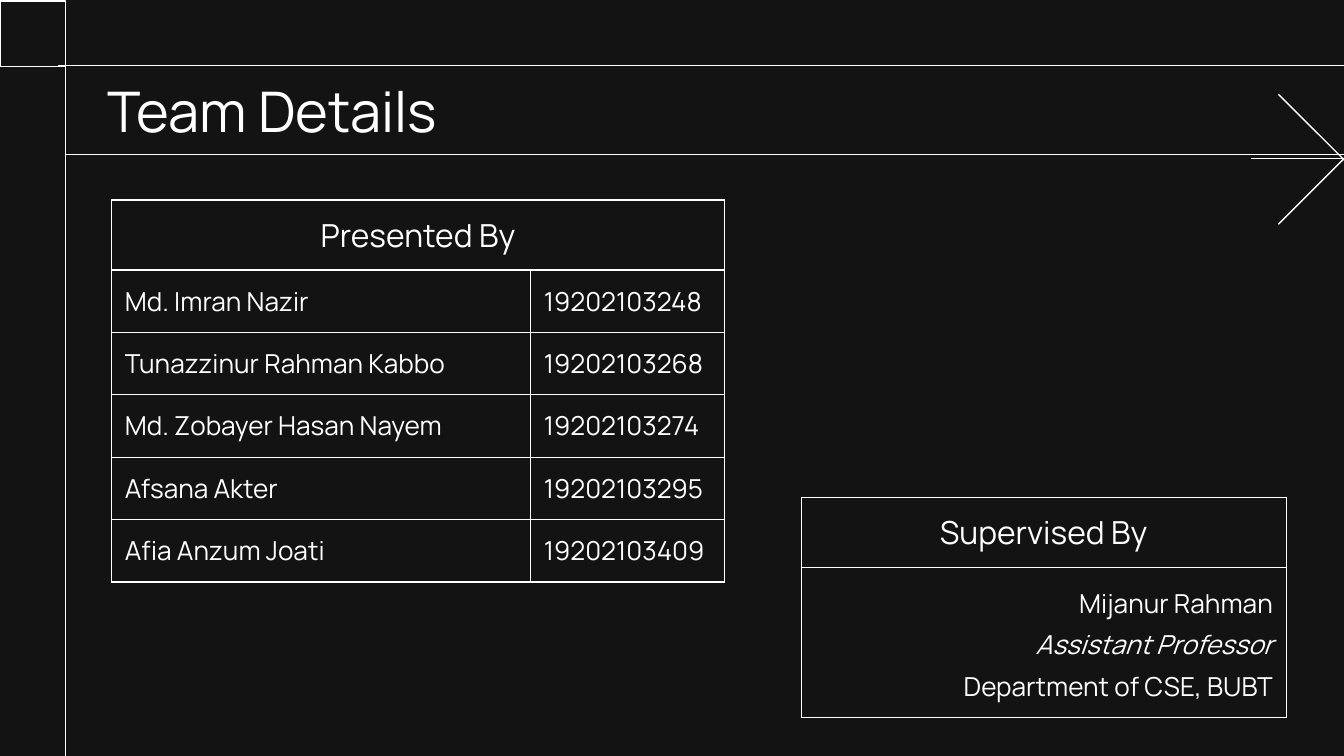
from lxml.etree import SubElement
from pptx import Presentation
from pptx.dml.color import RGBColor
from pptx.enum.shapes import MSO_CONNECTOR as Connector, MSO_SHAPE as Shape
from pptx.enum.text import PP_ALIGN as Align
from pptx.oxml.ns import qn
from pptx.util import Cm, Pt

WHITE = RGBColor(0xFF, 0xFF, 0xFF)
BLACK = RGBColor(0x13, 0x13, 0x13)
FONT = "Manrope"
LINE = Pt(0.75)
INSET = Cm(0.25)

TITLE = "Team Details"
MEMBERS = [
    ("Md. Imran Nazir", "19202103248"),
    ("Tunazzinur Rahman Kabbo", "19202103268"),
    ("Md. Zobayer Hasan Nayem", "19202103274"),
    ("Afsana Akter", "19202103295"),
    ("Afia Anzum Joati", "19202103409"),
]
SUPERVISOR = [
    ("Mijanur Rahman", False),
    ("Assistant Professor", True),
    ("Department of CSE, BUBT", False),
]
FRAME_LINES = [
    (1.09, 1.24, 25.6, 1.24),
    (1.24, 0.84, 1.24, 14.55),
    (1.24, 2.92, 25.73, 2.92),
]
ARROW_LINES = [
    (26.62, 1.78, 24.16, 4.24),
    (26.62, 4.24, 24.16, 1.78),
    (23.65, 3.0, 27.13, 3.0),
]
HEADER_HEIGHT = 1.32
MEMBER_HEIGHT = 1.18
SUPERVISOR_HEIGHT = 2.83


def add_line(page, ends):
    line = page.shapes.add_connector(Connector.STRAIGHT, *map(Cm, ends))
    line.line.color.rgb = WHITE
    line.line.width = LINE
    SubElement(line._element.spPr, qn("a:effectLst"))


def set_insets(frame):
    frame.margin_left = frame.margin_right = INSET
    frame.margin_top = frame.margin_bottom = INSET


def write(para, text, size, align=Align.LEFT, italic=False):
    para.alignment = align
    span = para.add_run()
    span.text = text
    span.font.name = FONT
    span.font.size = Pt(size)
    span.font.color.rgb = WHITE
    span.font.italic = italic


def set_borders(cell):
    properties = cell._tc.get_or_add_tcPr()
    for position, side in enumerate(("lnL", "lnR", "lnT", "lnB")):
        border = SubElement(properties, qn(f"a:{side}"), w=str(LINE))
        fill = SubElement(border, qn("a:solidFill"))
        SubElement(fill, qn("a:srgbClr"), val=str(WHITE))
        properties.insert(position, border)


def add_grid(page, left, top, widths, heights, heading):
    frame = page.shapes.add_table(
        len(heights), len(widths), Cm(left), Cm(top), Cm(sum(widths)), Cm(sum(heights))
    )
    grid = frame.table
    grid.first_row = grid.horz_banding = False
    for column, width in zip(grid.columns, widths):
        column.width = Cm(width)
    for row, height in zip(grid.rows, heights):
        row.height = Cm(height)
    for cell in grid.iter_cells():
        cell.fill.background()
        set_insets(cell)
        set_borders(cell)
    header = grid.cell(0, 0)
    if len(widths) > 1:
        header.merge(grid.cell(0, len(widths) - 1))
    header.fill.solid()
    header.fill.fore_color.rgb = BLACK
    write(header.text_frame.paragraphs[0], heading, 17, Align.CENTER)
    return grid


deck = Presentation()
deck.slide_width, deck.slide_height = Cm(25.4), Cm(14.29)
page = deck.slides.add_slide(deck.slide_layouts[6])
page.background.fill.solid()
page.background.fill.fore_color.rgb = BLACK

corner = page.shapes.add_shape(Shape.RECTANGLE, Cm(0), Cm(0.02), Cm(1.24), Cm(1.24))
corner.shadow.inherit = False
corner.fill.background()
corner.line.color.rgb = WHITE
corner.line.width = LINE

for ends in FRAME_LINES + ARROW_LINES:
    add_line(page, ends)

member_heights = [HEADER_HEIGHT] + [MEMBER_HEIGHT] * len(MEMBERS)
members = add_grid(page, 2.11, 3.78, [7.92, 3.66], member_heights, "Presented By")
for row, member in enumerate(MEMBERS, 1):
    for column, text in enumerate(member):
        write(members.cell(row, column).text_frame.paragraphs[0], text, 14)

supervisor_heights = [HEADER_HEIGHT, SUPERVISOR_HEIGHT]
supervisor = add_grid(page, 15.14, 9.4, [9.17], supervisor_heights, "Supervised By")
frame = supervisor.cell(1, 0).text_frame
for index, (text, italic) in enumerate(SUPERVISOR):
    para = frame.add_paragraph() if index else frame.paragraphs[0]
    para.line_spacing = 1.15
    write(para, text, 14, Align.RIGHT, italic)

box = page.shapes.add_textbox(Cm(1.78), Cm(1.19), Cm(21.41), Cm(1.78))
box.text_frame.word_wrap = True
set_insets(box.text_frame)
write(box.text_frame.paragraphs[0], TITLE, 30)

deck.save("out.pptx")
